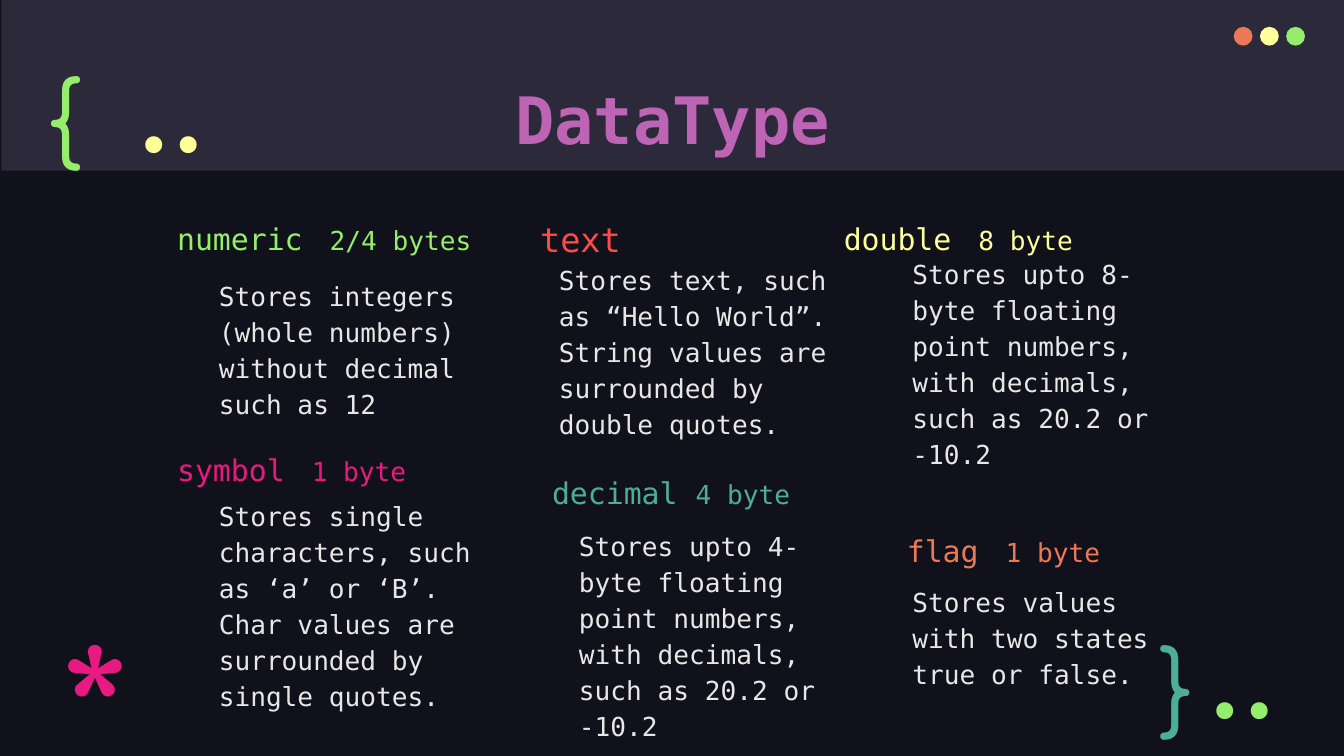
"""Build the DataType slide: a header band and six data types with descriptions."""
from dataclasses import dataclass

from pptx import Presentation
from pptx.dml.color import RGBColor
from pptx.enum.shapes import MSO_SHAPE as SHAPE
from pptx.enum.text import MSO_ANCHOR as ANCHOR, PP_ALIGN as ALIGN
from pptx.util import Inches, Pt

MONO, ROUND, CODE = "DejaVu Sans Mono", "Comfortaa", "Fira Code"
GREEN, YELLOW, ORANGE = "94EE6B", "FFFF99", "EC7955"
PINK, TEAL, RED = "E81A81", "4CAE97", "FD4A4A"
PURPLE, PALE, BAND, NIGHT = "BD64B5", "E7E7E7", "2C293A", "10111A"
FLOATING = "-byte floating point numbers, with decimals, such as 20.2 or -10.2"


@dataclass
class DataType:
    """A data type: heading runs as (text, size), its box, and its description."""
    runs: list[tuple[str, int]]
    color: str
    head: tuple[float, float, float]
    body: tuple[float, float, float]
    text: str


@dataclass
class Glyph:
    """A large decorative code symbol."""
    text: str
    font: str
    color: str
    box: tuple[float, float, float, float]
    size: int = 50


def sized(name: str, size: str) -> list[tuple[str, int]]:
    """Return heading runs for a type name followed by its size in bytes."""
    return [(name, 16), (" ", 24), (size, 14)]


TYPES = [
    DataType(sized("numeric", "2/4 bytes"), GREEN, (1.22, 1.49, 2.84), (1.53, 1.95, 2.17),
             "Stores integers (whole numbers) without decimal such as 12"),
    DataType([("text", 18)], RED, (3.92, 1.49, 2.16), (4.06, 1.83, 2.47),
             "Stores text, such as “Hello World”. String values are surrounded by double quotes."),
    DataType(sized("double", "8 byte"), YELLOW, (6.18, 1.49, 2.64), (6.69, 1.79, 2.17),
             "Stores upto 8" + FLOATING),
    DataType(sized("symbol", "1 byte"), PINK, (1.22, 3.21, 2.16), (1.53, 3.59, 2.17),
             "Stores single characters, such as ‘a’ or ‘B’. "
             "Char values are surrounded by single quotes."),
    DataType([("decimal ", 16), ("4 byte", 14)], TEAL, (4.01, 3.36, 2.16), (4.21, 3.81, 2.17),
             "Stores upto 4" + FLOATING),
    DataType(sized("flag", "1 byte"), ORANGE, (6.65, 3.81, 2.16), (6.69, 4.23, 2.17),
             "Stores values with two states true or false."),
]

BRACES = [
    Glyph("{", ROUND, GREEN, (0.25, 0.32, 0.77, 0.95)),
    Glyph("}", ROUND, TEAL, (8.53, 4.55, 0.57, 0.83)),
    Glyph("*", ROUND, PINK, (0.35, 4.41, 0.57, 0.87), 96),
]
DOTS = [
    Glyph("..", CODE, GREEN, (8.7, 4.77, 1.07, 0.6)),
    Glyph("..", CODE, YELLOW, (0.73, 0.56, 1.07, 0.6)),
]


def rgb(value: str) -> RGBColor:
    """Turn a hex string into a colour."""
    return RGBColor.from_string(value)


def add_shape(shapes, kind: SHAPE, color: str, *box: float) -> None:
    """Add a plain filled shape without outline."""
    sp = shapes.add_shape(kind, *map(Inches, box))
    sp.shadow.inherit = False
    sp.fill.solid()
    sp.fill.fore_color.rgb = rgb(color)
    sp.line.fill.background()


def add_text(s, runs: list[tuple[str, int]], box: tuple[float, ...], *, color: str,
             font: str = MONO, bold: bool = False, align: ALIGN = ALIGN.LEFT,
             anchor: ANCHOR = ANCHOR.TOP, spacing: float = 1.0) -> None:
    """Add a wrapped one-paragraph text box made of (text, size) runs."""
    tf = s.shapes.add_textbox(*map(Inches, box)).text_frame
    tf.word_wrap = True
    tf.vertical_anchor = anchor
    tf.margin_left = tf.margin_right = tf.margin_top = tf.margin_bottom = Inches(0.1)
    p = tf.paragraphs[0]
    p.alignment = align
    p.line_spacing = spacing
    for text, size in runs:
        r = p.add_run()
        r.text = text
        r.font.name = font
        r.font.size = Pt(size)
        r.font.bold = bold
        r.font.color.rgb = rgb(color)


def add_glyph(s, glyph: Glyph, **fmt) -> None:
    """Add a decorative symbol."""
    add_text(s, [(glyph.text, glyph.size)], glyph.box,
             color=glyph.color, font=glyph.font, **fmt)


def main() -> None:
    """Draw the slide and save it."""
    prs = Presentation()
    prs.slide_width = Inches(10)
    prs.slide_height = Inches(10 * 9 / 16)
    s = prs.slides.add_slide(prs.slide_layouts[6])
    s.background.fill.solid()
    s.background.fill.fore_color.rgb = rgb(NIGHT)

    add_shape(s.shapes, SHAPE.RECTANGLE, BAND, 0.01, 0, 10, 1.27)
    add_text(s, [("DataType", 35)], (0.79, 0.49, 8.43, 0.63),
             color=PURPLE, bold=True, align=ALIGN.CENTER)
    for item in TYPES:
        add_text(s, [(item.text, 14)], (*item.body, 0.96), color=PALE, spacing=1.15)
    for item in TYPES:
        add_text(s, item.runs, (*item.head, 0.54), color=item.color,
                 anchor=ANCHOR.BOTTOM, spacing=1.15)

    for glyph in BRACES:
        add_glyph(s, glyph)
    for glyph in DOTS:
        add_glyph(s, glyph, align=ALIGN.RIGHT, anchor=ANCHOR.MIDDLE)
    buttons = s.shapes.add_group_shape()
    for i, color in enumerate((ORANGE, YELLOW, GREEN)):
        add_shape(buttons.shapes, SHAPE.OVAL, color, 9.18 + 0.195 * i, 0.2, 0.14, 0.14)
    prs.save("out.pptx")


if __name__ == "__main__":
    main()
